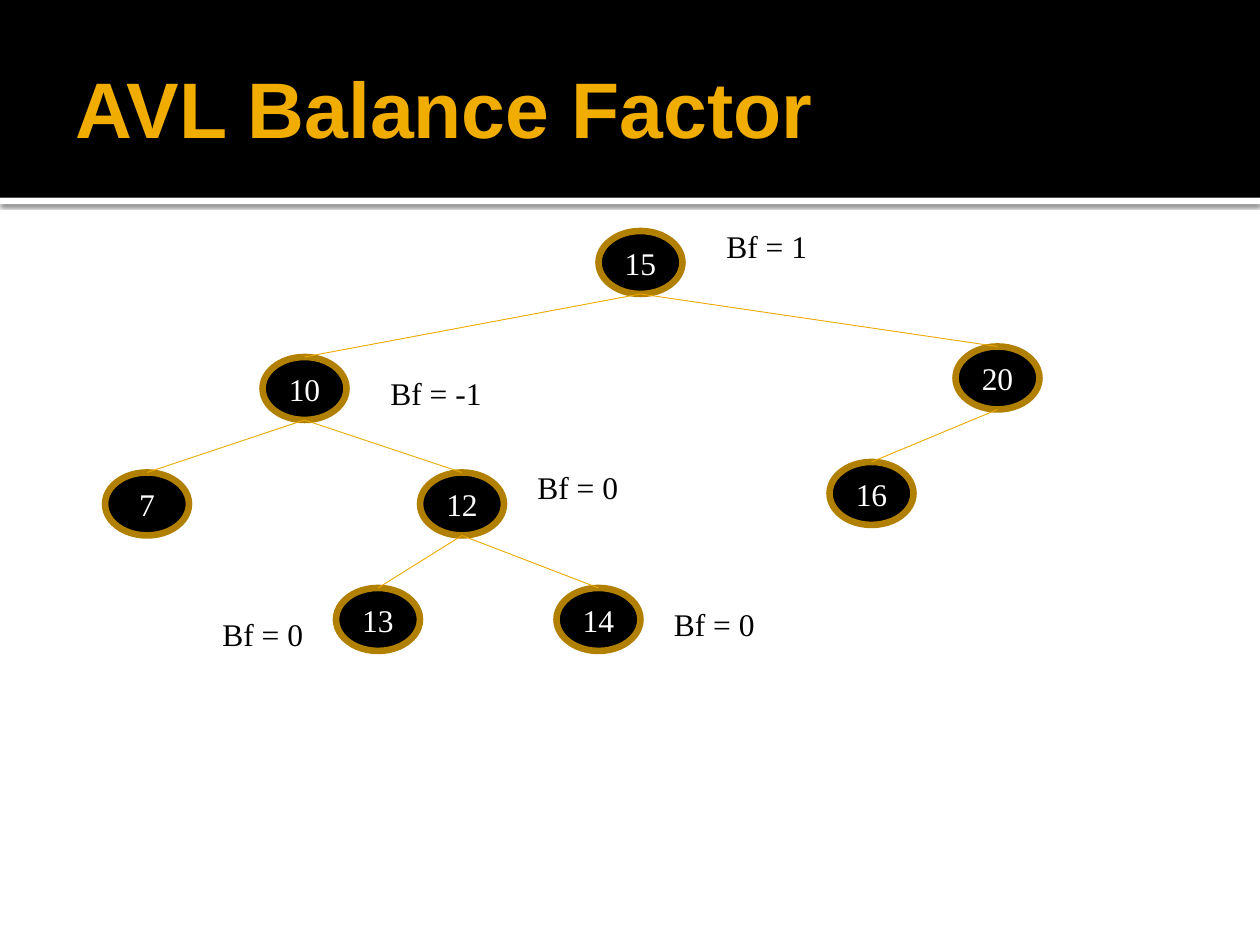
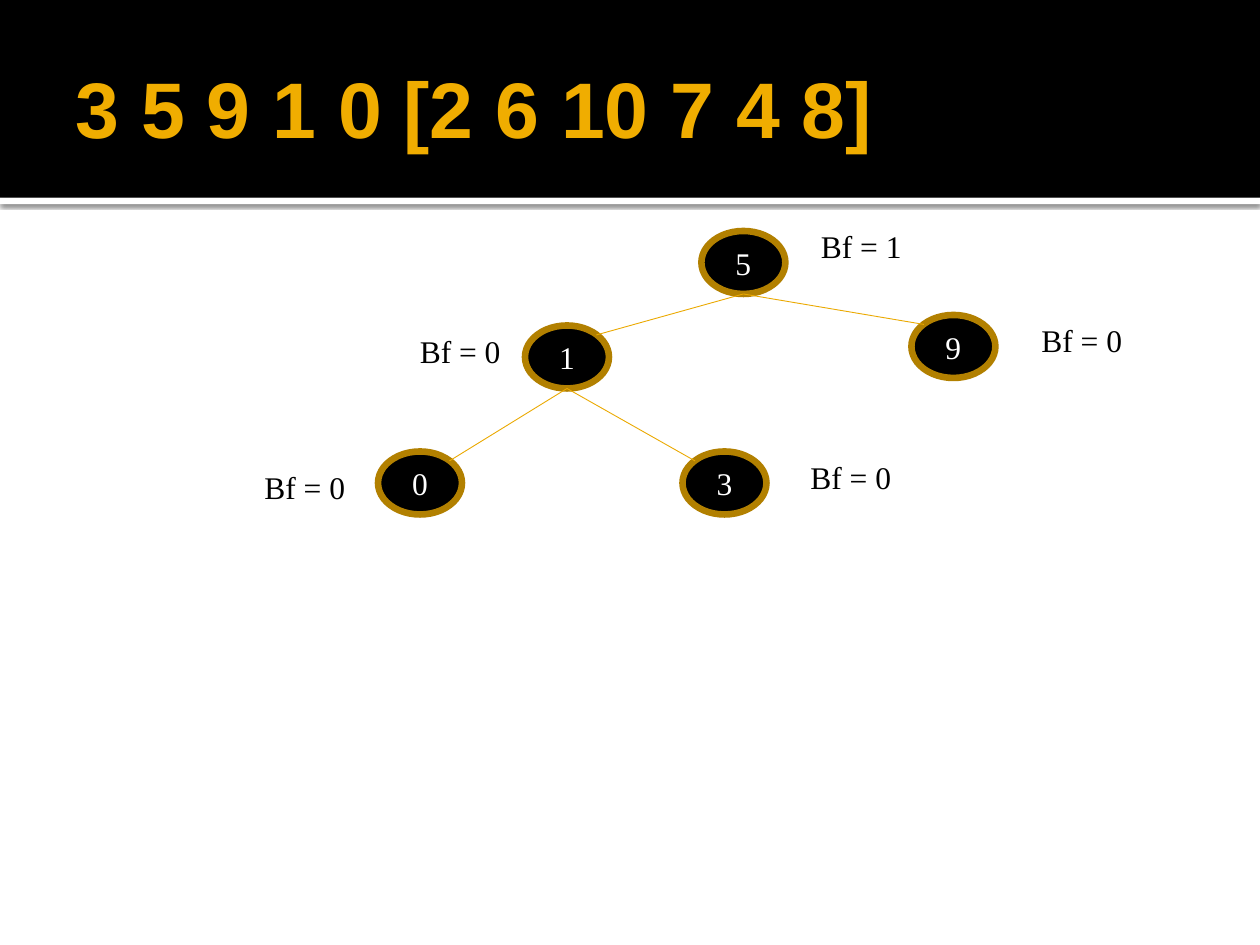
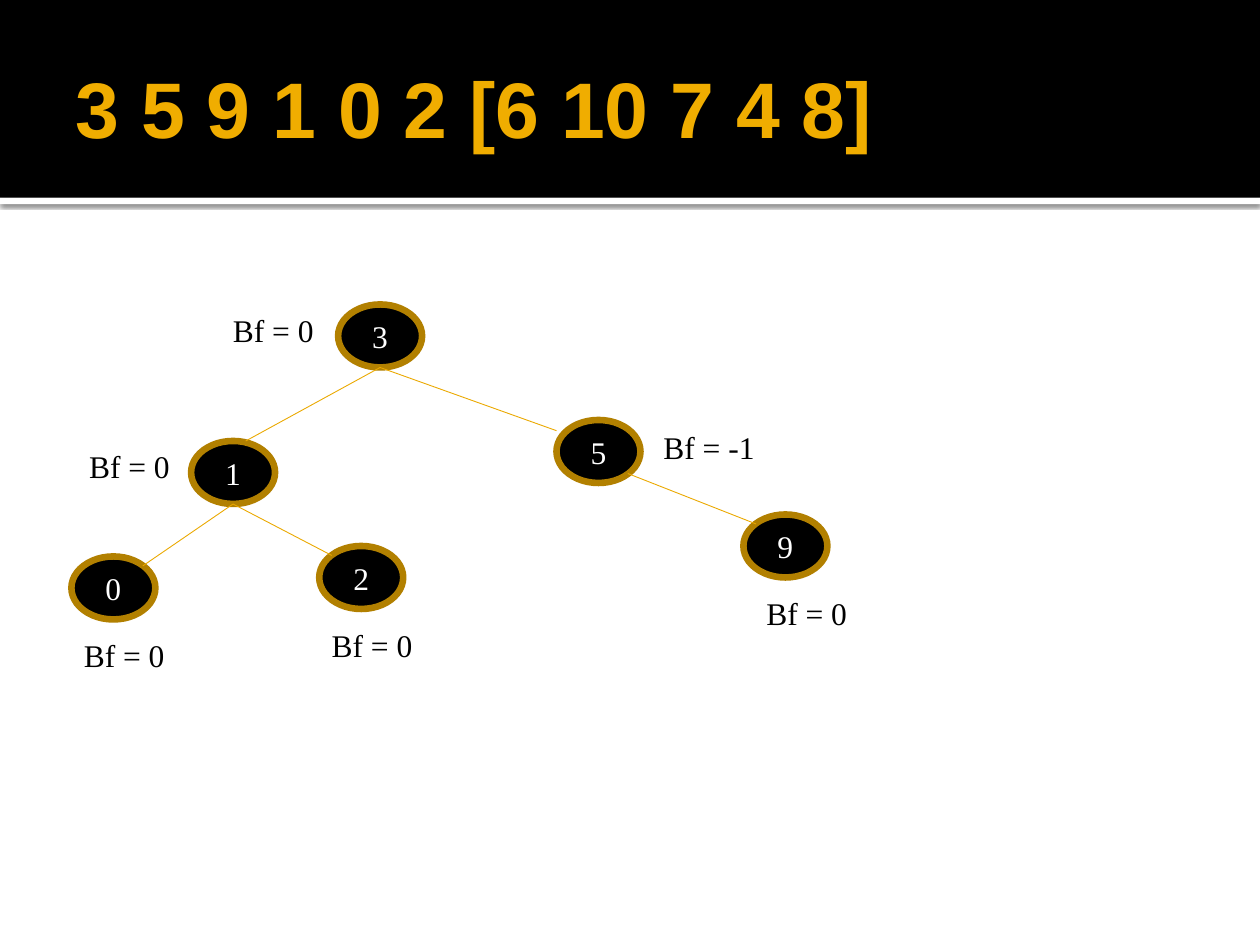
from lxml.etree import SubElement
from pptx import Presentation
from pptx.dml.color import RGBColor
from pptx.enum.shapes import MSO_CONNECTOR, MSO_SHAPE
from pptx.enum.text import MSO_ANCHOR, MSO_AUTO_SIZE, PP_ALIGN
from pptx.oxml.ns import qn
from pptx.util import Inches, Pt

# Grid: 12 cells to the inch, so a slide is 120 columns by 90 rows
COLUMNS, ROWS, CELLS_PER_INCH = 120, 90, 12
NODE_WIDTH, NODE_HEIGHT = 8, 6
BAND_HEIGHT, RULE_HEIGHT = 18.84, 0.6

BLACK, WHITE = "000000", "FFFFFF"
GOLD, NODE_EDGE, BRANCH = "F0AD00", "B28000", "EBA900"

TITLE_FONT = {"name": "Arial", "size": Pt(45), "bold": True}
TREE_FONT = {"name": "Times New Roman", "size": Pt(18), "bold": False}
TITLE_FRAME = {"vertical_anchor": MSO_ANCHOR.MIDDLE, "auto_size": MSO_AUTO_SIZE.NONE,
               "margin_left": Inches(0.1), "margin_right": Inches(0.05),
               "margin_top": Inches(0.05), "margin_bottom": Inches(0.05)}
LABEL_FRAME = {"word_wrap": False, "auto_size": MSO_AUTO_SIZE.SHAPE_TO_FIT_TEXT}

# Points where a branch meets a node, as shares of its width and height
SITES = {"top": (0.5, 0), "bottom": (0.5, 1),
         "top left": (0.15, 0.15), "top right": (0.85, 0.15),
         "bottom right": (0.85, 0.85),
         "crown": (0.65, 0), "shoulder": (0, 0.17)}


def cells(count):
    return Inches(count / CELLS_PER_INCH)


def rgb(hex_colour):
    return RGBColor.from_string(hex_colour)


def apply(target, values):
    for name, value in values.items():
        setattr(target, name, value)


class TreeDeck:
    def __init__(self):
        self.deck = Presentation()
        self.deck.slide_width, self.deck.slide_height = cells(COLUMNS), cells(ROWS)
        self.layout = self.deck.slide_layouts[5]
        self.slide = None
        heading = self.layout.placeholders[0]
        apply(heading, {"left": cells(6), "top": cells(2), "width": cells(108),
                        "height": cells(16.4)})
        apply(heading.text_frame, TITLE_FRAME)

    def add_text(self, frame, text, font, colour, align):
        paragraph = frame.paragraphs[0]
        paragraph.alignment = align
        run = paragraph.add_run()
        run.text = text
        apply(run.font, font)
        run.font.color.rgb = rgb(colour)

    def add_slide(self, title):
        first = self.slide is None
        self.slide = self.deck.slides.add_slide(self.layout)
        self.add_text(self.slide.shapes.title.text_frame, title, TITLE_FONT, GOLD,
                      PP_ALIGN.LEFT)
        if first:
            self.share_bands()

    def share_bands(self):
        """Place the header band and its shadowed rule on the layout."""
        header = self.band(0, BAND_HEIGHT, BLACK)
        rule = self.band(BAND_HEIGHT, RULE_HEIGHT, WHITE)
        effects = rule.element.spPr.find(qn("a:effectLst"))
        shadow = SubElement(effects, qn("a:outerShdw"), blurRad=str(Pt(2.5)),
                            dist=str(Pt(0.8)), dir="5400000", rotWithShape="0")
        tint = SubElement(shadow, qn("a:srgbClr"), val=BLACK)
        SubElement(tint, qn("a:alpha"), val="60000")
        for shape in (header, rule):
            self.layout.shapes.element.insert(2, shape.element)

    def shape(self, kind, left, top, width, height, fill):
        shape = self.slide.shapes.add_shape(kind, cells(left), cells(top),
                                            cells(width), cells(height))
        shape.shadow.inherit = False
        shape.fill.solid()
        shape.fill.fore_color.rgb = rgb(fill)
        return shape

    def band(self, top, height, fill):
        band = self.shape(MSO_SHAPE.RECTANGLE, 0, top, COLUMNS, height, fill)
        band.line.fill.background()
        return band

    def node(self, value, column, row):
        node = self.shape(MSO_SHAPE.OVAL, column, row, NODE_WIDTH, NODE_HEIGHT, BLACK)
        node.line.color.rgb = rgb(NODE_EDGE)
        node.line.width = Pt(3.78)
        node.text_frame.vertical_anchor = MSO_ANCHOR.MIDDLE
        self.add_text(node.text_frame, str(value), TREE_FONT, WHITE, PP_ALIGN.CENTER)

    def branch(self, parent, child, leave="bottom", arrive="top"):
        ends = []
        for (column, row), site in ((parent, leave), (child, arrive)):
            across, down = SITES[site]
            ends += [cells(column + across * NODE_WIDTH), cells(row + down * NODE_HEIGHT)]
        branch = self.slide.shapes.add_connector(MSO_CONNECTOR.STRAIGHT, *ends)
        branch.line.color.rgb = rgb(BRANCH)
        branch.line.width = Pt(0.5)
        SubElement(branch.element.spPr, qn("a:effectLst"))

    def balance(self, factor, column, row):
        width = 11.2 if factor < 0 else 10.2
        label = self.slide.shapes.add_textbox(cells(column), cells(row),
                                              cells(width), cells(4.8))
        apply(label.text_frame, LABEL_FRAME)
        self.add_text(label.text_frame, f"Bf = {factor}", TREE_FONT, BLACK, PP_ALIGN.LEFT)

    def tree(self, title, nodes, branches, factors):
        self.add_slide(title)
        for value, place in nodes.items():
            self.node(value, *place)
        for parent, child, *sites in branches:
            self.branch(nodes[parent], nodes[child], *sites)
        for factor in factors:
            self.balance(*factor)


# Nodes: value -> column, row. Branches: parent, child, sites.
# Factors: balance factor, column, row.
TREES = [
    {"title": "AVL Balance Factor",
     "nodes": {15: (57, 22), 10: (25, 34), 20: (91, 33), 7: (10, 45), 12: (40, 45),
               16: (79, 44), 13: (32, 56), 14: (53, 56)},
     "branches": [(15, 10), (15, 20), (10, 7), (10, 12), (20, 16), (12, 13), (12, 14)],
     "factors": [(1, 68, 21), (-1, 36, 35), (0, 50, 44), (0, 20, 58), (0, 63, 57)]},
    {"title": "3 5 9 1 0 [2 6 10 7 4 8]",
     "nodes": {5: (66.8, 22), 9: (86.8, 30), 1: (50, 31), 0: (36, 43), 3: (65, 43)},
     "branches": [(5, 1, "bottom", "top right"), (5, 9, "bottom", "top left"),
                  (1, 0, "bottom", "top right"), (1, 3, "bottom", "top left")],
     "factors": [(1, 77, 21), (0, 38.8, 31), (0, 98, 30), (0, 24, 44), (0, 76, 43)]},
    {"title": "3 5 9 1 0 2 [6 10 7 4 8]",
     "nodes": {3: (32.2, 29), 1: (18.2, 42), 5: (53, 40), 0: (6.8, 53), 2: (30.4, 52),
               9: (70.8, 49)},
     "branches": [(3, 1, "bottom", "crown"), (3, 5, "bottom", "shoulder"),
                  (1, 0, "bottom", "top right"), (1, 2, "bottom", "top left"),
                  (5, 9, "bottom right", "top left")],
     "factors": [(0, 21, 29), (0, 7.3, 42), (-1, 62, 40.2), (0, 6.8, 60),
                 (0, 30.4, 59), (0, 71.8, 56)]},
]


def main():
    slides = TreeDeck()
    for tree in TREES:
        slides.tree(**tree)
    slides.deck.save("out.pptx")


if __name__ == "__main__":
    main()
